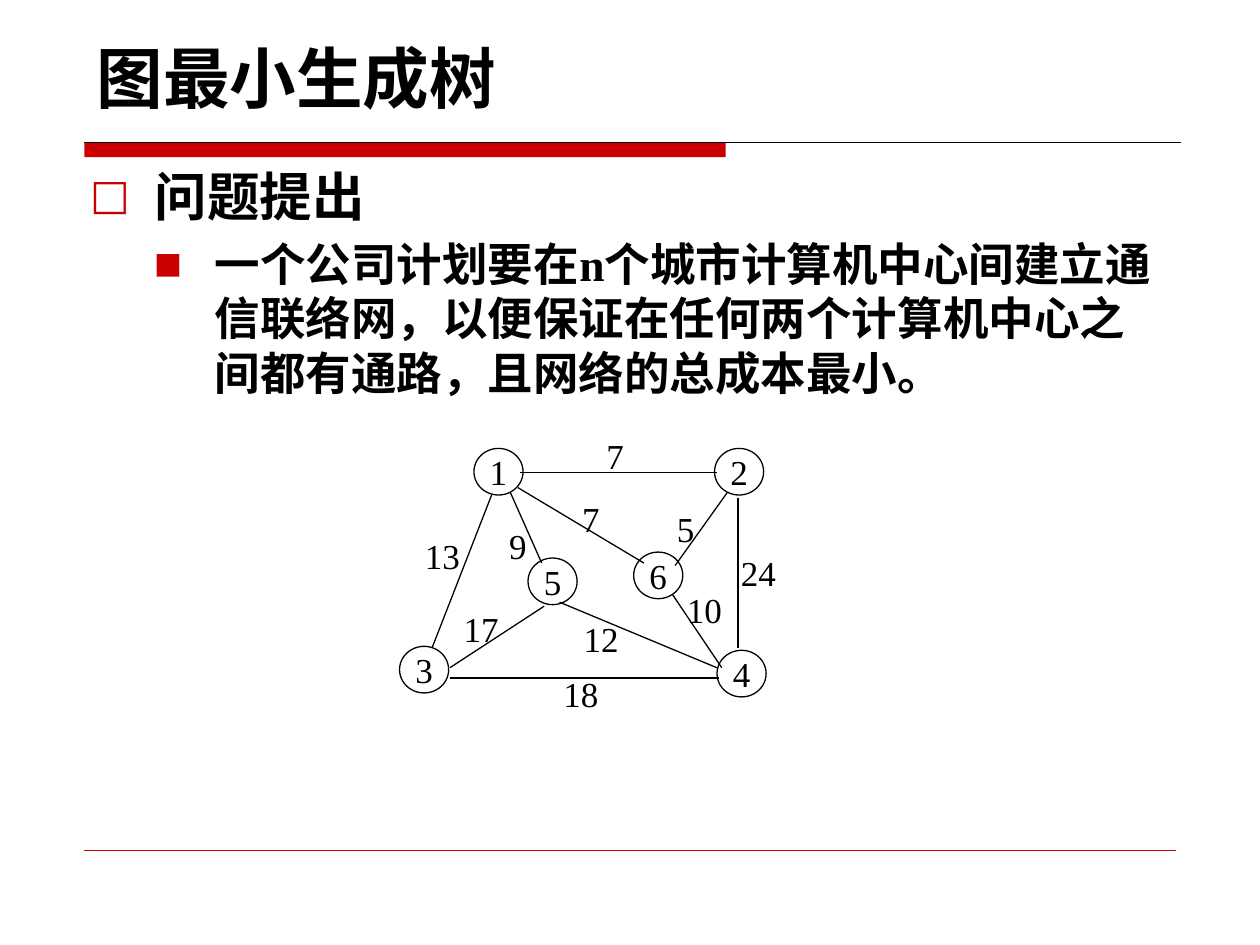
from dataclasses import dataclass

from lxml import etree
from pptx import Presentation
from pptx.dml.color import RGBColor
from pptx.enum.shapes import MSO_CONNECTOR, MSO_SHAPE
from pptx.enum.text import MSO_ANCHOR, PP_ALIGN
from pptx.oxml.ns import qn
from pptx.util import Cm, Pt

STRAIGHT = MSO_CONNECTOR.STRAIGHT
OVAL, RECTANGLE = MSO_SHAPE.OVAL, MSO_SHAPE.RECTANGLE
TOP, MIDDLE, BOTTOM = MSO_ANCHOR.TOP, MSO_ANCHOR.MIDDLE, MSO_ANCHOR.BOTTOM
CENTER = PP_ALIGN.CENTER


@dataclass(frozen=True)
class Theme:
    ink: RGBColor = RGBColor(0, 0, 0)
    accent: RGBColor = RGBColor(0xCC, 0, 0)
    heading_font: str = "DejaVu Sans"
    text_font: str = "Times New Roman"
    title_size: int = 38
    topic_size: int = 30
    detail_size: int = 26
    graph_size: int = 20
    line_width: float = 0.75
    hairline: float = 0.25


THEME = Theme()

TITLE = "图最小生成树"
POINTS = [
    dict(text="问题提出", bullet="□", bullet_size=80, margin=1.3, hang=1.3,
         before=0, size=THEME.topic_size, font=THEME.heading_font),
    dict(text="一个公司计划要在n个城市计算机中心间建立通信联络网，以便保证在任何两个计算机中心之间都有通路，且网络的总成本最小。",
         bullet="■", bullet_size=65, margin=2.51, hang=1.22,
         before=5, size=THEME.detail_size, font=THEME.text_font),
]

NODE_WIDTH, NODE_HEIGHT = 0.99, 0.94
CITIES = {
    "1": (10.05, 9.51), "2": (14.9, 9.51), "3": (8.55, 13.5),
    "4": (14.95, 13.58), "5": (11.14, 11.72), "6": (13.27, 11.6),
}

LABEL_HEIGHT = 1.09
LABEL_WIDTHS = {1: 0.86, 2: 1.22}
EDGES = [
    ("7", (10.49, 9.53), (14.45, 9.53), (12.4, 9.18)),
    ("13", (9.91, 9.98), (8.71, 13.06), (8.92, 11.19)),
    ("9", (10.29, 9.93), (10.92, 11.35), (10.44, 10.99)),
    ("18", (9.07, 13.67), (14.5, 13.67), (11.71, 13.98)),
    ("17", (10.97, 12.22), (9.07, 13.46), (9.7, 12.66)),
    ("7", (10.44, 9.83), (12.98, 11.35), (11.91, 10.45)),
    ("24", (14.88, 10.03), (14.88, 13.06), (15.29, 11.54)),
    ("5", (14.66, 9.93), (13.61, 11.4), (13.82, 10.66)),
    ("10", (13.56, 11.99), (14.55, 13.46), (14.2, 12.28)),
    ("12", (11.28, 12.14), (14.45, 13.46), (12.12, 12.87)),
]


def apply_format(target, values):
    for name, value in values.items():
        setattr(target, name, value)


def write(paragraph, text, size, font, bold=False):
    run = paragraph.add_run()
    run.text = text
    apply_format(run.font, dict(size=Pt(size), name=font, bold=bold))
    run.font.color.rgb = THEME.ink
    east_asian = etree.SubElement(run.font._element, qn("a:ea"))
    east_asian.set("typeface", THEME.heading_font)


def centered_box(center, width, height):
    x, y = center
    return [Cm(v) for v in (x - width / 2, y - height / 2, width, height)]


def add_line(slide, start, end, color, width):
    line = slide.shapes.add_connector(STRAIGHT, *[Cm(v) for v in (*start, *end)])
    line.line.color.rgb = color
    line.line.width = Pt(width)
    etree.SubElement(line._element.spPr, qn("a:effectLst"))


def add_text_box(slide, box, anchor, wrap=True):
    frame = slide.shapes.add_textbox(*box).text_frame
    apply_format(frame, dict(word_wrap=wrap, vertical_anchor=anchor))
    return frame


def add_bullet(paragraph, point):
    properties = paragraph._p.get_or_add_pPr()
    properties.set("marL", str(Cm(point["margin"])))
    properties.set("indent", str(-Cm(point["hang"])))
    color = etree.SubElement(properties, qn("a:buClr"))
    etree.SubElement(color, qn("a:srgbClr")).set("val", str(THEME.accent))
    for tag, name, value in (
        ("a:buSzPct", "val", str(point["bullet_size"] * 1000)),
        ("a:buFont", "typeface", THEME.heading_font),
        ("a:buChar", "char", point["bullet"]),
    ):
        etree.SubElement(properties, qn(tag)).set(name, value)


def add_decoration(slide):
    bar = slide.shapes.add_shape(RECTANGLE, Cm(1.7), Cm(2.87), Cm(12.93), Cm(0.3))
    bar.shadow.inherit = False
    bar.fill.solid()
    bar.fill.fore_color.rgb = THEME.accent
    bar.line.fill.background()
    add_line(slide, (1.7, 2.87), (23.8, 2.87), THEME.ink, THEME.line_width)
    add_line(slide, (1.7, 17.15), (23.7, 17.15), THEME.accent, THEME.hairline)


def add_title(slide):
    frame = add_text_box(slide, (Cm(1.7), Cm(0.3), Cm(16.66), Cm(2.18)), BOTTOM)
    write(frame.paragraphs[0], TITLE, THEME.title_size, THEME.heading_font, True)


def add_points(slide):
    frame = add_text_box(slide, (Cm(1.57), Cm(3.18), Cm(22.23), Cm(13.56)), TOP)
    for level, point in enumerate(POINTS):
        paragraph = frame.add_paragraph() if level else frame.paragraphs[0]
        add_bullet(paragraph, point)
        apply_format(paragraph, dict(level=level, space_before=Pt(point["before"])))
        write(paragraph, point["text"], point["size"], point["font"], True)


def write_centered(frame, text):
    paragraph = frame.paragraphs[0]
    paragraph.alignment = CENTER
    write(paragraph, text, THEME.graph_size, THEME.text_font)


def add_city(slide, name, center):
    city = slide.shapes.add_shape(OVAL, *centered_box(center, NODE_WIDTH, NODE_HEIGHT))
    city.shadow.inherit = False
    city.fill.background()
    city.line.color.rgb = THEME.ink
    city.line.width = Pt(THEME.line_width)
    apply_format(city.text_frame, dict(word_wrap=False, vertical_anchor=MIDDLE))
    write_centered(city.text_frame, name)


def add_cost(slide, cost, center):
    box = centered_box(center, LABEL_WIDTHS[len(cost)], LABEL_HEIGHT)
    write_centered(add_text_box(slide, box, MIDDLE, wrap=False), cost)


def add_graph(slide):
    for name, center in CITIES.items():
        add_city(slide, name, center)
    for _, start, end, _ in EDGES:
        add_line(slide, start, end, THEME.ink, THEME.line_width)
    for cost, _, _, center in EDGES:
        add_cost(slide, cost, center)


def main():
    deck = Presentation()
    apply_format(deck, dict(slide_width=Cm(25.4), slide_height=Cm(19.05)))
    slide = deck.slides.add_slide(deck.slide_layouts[6])
    add_decoration(slide)
    add_title(slide)
    add_points(slide)
    add_graph(slide)
    deck.save("out.pptx")


if __name__ == "__main__":
    main()
